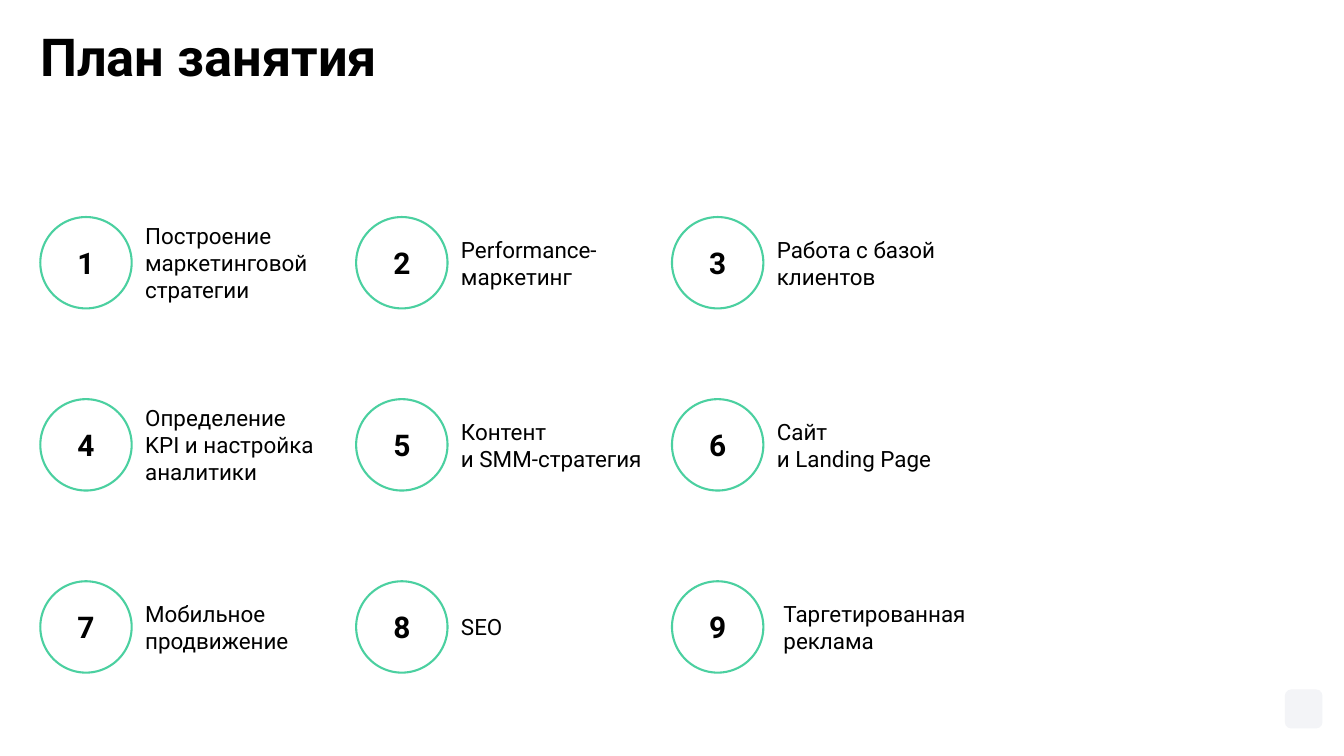
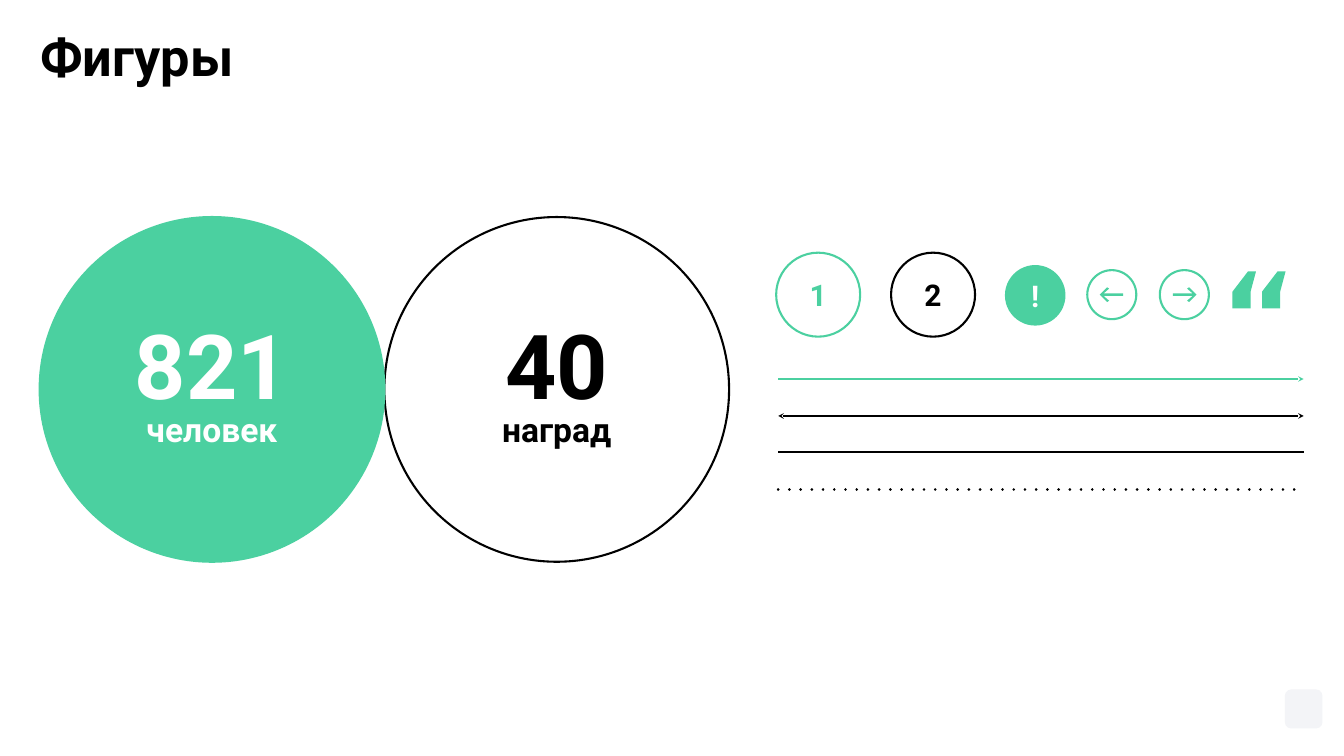
from dataclasses import dataclass

from lxml import etree
from pptx import Presentation
from pptx.dml.color import RGBColor
from pptx.enum.shapes import MSO_CONNECTOR, MSO_SHAPE
from pptx.enum.text import MSO_ANCHOR, MSO_AUTO_SIZE, PP_ALIGN
from pptx.oxml.ns import qn
from pptx.util import Inches, Pt

ELLIPSE, ROUNDED = MSO_SHAPE.OVAL, MSO_SHAPE.ROUNDED_RECTANGLE
STRAIGHT = MSO_CONNECTOR.STRAIGHT
TOP, MIDDLE = MSO_ANCHOR.TOP, MSO_ANCHOR.MIDDLE
LEFT, CENTER = PP_ALIGN.LEFT, PP_ALIGN.CENTER
NO_AUTOFIT = MSO_AUTO_SIZE.NONE
TITLE_ONLY = 5


@dataclass(frozen=True)
class Theme:
    """Colours, font and type sizes shared by the slides."""
    green: RGBColor = RGBColor(0x4B, 0xD0, 0xA0)
    black: RGBColor = RGBColor(0, 0, 0)
    white: RGBColor = RGBColor(0xFF, 0xFF, 0xFF)
    pale: RGBColor = RGBColor(0xF3, 0xF4, 0xF7)
    font: str = "Roboto"
    title: int = 56
    figure: int = 96
    caption: int = 36
    number: int = 32
    label: int = 24
    outline: float = 2.25
    tight: float = 0.8


THEME = Theme()

PLAN = (
    "Построение маркетинговой стратегии",
    "Performance-\nмаркетинг",
    "Работа с базой\nклиентов",
    "Определение\nKPI и настройка аналитики",
    "Контент\nи SMM-стратегия",
    "Сайт\nи Landing Page",
    "Мобильное продвижение",
    "SEO",
    "Таргетированная\nреклама",
)
COLUMNS = 3
RIGHT_ARROW = ((0.18, 0), (0.07, 0.11), (0.04, 0.09), (0.12, 0.02), (-0.17, 0.02),
               (-0.17, -0.02), (0.12, -0.02), (0.04, -0.09), (0.07, -0.11))
QUOTE_MARK = ((0.23, 0), (0, 0.3), (0, 0.55), (0.27, 0.55), (0.27, 0.3), (0.35, 0))


def write(paragraph, text, size, color, bold=False, align=LEFT, spacing=None):
    """Fill a paragraph and format it as a whole."""
    paragraph.text = text
    paragraph.alignment = align
    paragraph.line_spacing = spacing
    font = paragraph.font
    font.name, font.size, font.bold = THEME.font, Pt(size), bold
    font.color.rgb = color


def set_frame(frame, anchor, inset=0):
    """Set the wrapping, anchor and insets of a text frame."""
    frame.word_wrap = True
    frame.auto_size = NO_AUTOFIT
    frame.vertical_anchor = anchor
    frame.margin_left = frame.margin_right = Inches(inset)
    frame.margin_top = frame.margin_bottom = Inches(inset)


def add_slide(deck, title):
    """Add a slide with the shared title and corner mark."""
    slide = deck.slides.add_slide(deck.slide_layouts[TITLE_ONLY])
    mark = slide.shapes.add_shape(ROUNDED, Inches(19.12), Inches(10.26), Inches(0.56), Inches(0.58))
    paint(mark, THEME.pale)
    box = slide.shapes.title
    box.left, box.top, box.width, box.height = (Inches(n) for n in (0.6, 0.54, 15.6, 1.62))
    set_frame(box.text_frame, TOP)
    write(box.text_frame.paragraphs[0], title, THEME.title, THEME.black, True,
          spacing=THEME.tight)
    return slide


def paint(shape, fill=None, line=None):
    """Give a shape a flat fill and outline, or none."""
    shape.shadow.inherit = False
    if fill is None:
        shape.fill.background()
    else:
        shape.fill.solid()
        shape.fill.fore_color.rgb = fill
    if line is None:
        shape.line.fill.background()
    else:
        shape.line.color.rgb = line
        shape.line.width = Pt(THEME.outline)


def add_circle(slide, left, top, size, line, fill=None, color=None, rows=(), spacing=None):
    """Add a circle with centred rows of (text, size)."""
    circle = slide.shapes.add_shape(ELLIPSE, Inches(left), Inches(top), Inches(size), Inches(size))
    paint(circle, fill, line)
    frame = circle.text_frame
    set_frame(frame, MIDDLE, 0.1)
    for index, (text, points) in enumerate(rows):
        paragraph = frame.add_paragraph() if index else frame.paragraphs[0]
        write(paragraph, text, points, color, True, CENTER, spacing)


def add_label(slide, left, top, text, inset=0):
    """Add the wording beside a numbered circle."""
    box = slide.shapes.add_textbox(Inches(left), Inches(top), Inches(3.15), Inches(1.36))
    set_frame(box.text_frame, MIDDLE, inset)
    write(box.text_frame.paragraphs[0], text, THEME.label, THEME.black)


def add_outline(slide, contours):
    """Add a green freeform made of closed contours in inches."""
    scaled = [[(Inches(x), Inches(y)) for x, y in contour] for contour in contours]
    builder = slide.shapes.build_freeform(*scaled[0][0])
    builder.add_line_segments(scaled[0][1:])
    for contour in scaled[1:]:
        builder.move_to(*contour[0])
        builder.add_line_segments(contour[1:])
    paint(builder.convert_to_shape(), THEME.green)


def add_arrow_button(slide, left, direction):
    """Add a ringed arrow pointing right (1) or left (-1)."""
    size, top = 0.73, 4.02
    add_circle(slide, left, top, size, THEME.green)
    middle = size / 2
    add_outline(slide, [[(left + middle + direction * x, top + middle + y)
                         for x, y in RIGHT_ARROW]])


def add_rule(slide, top, color, width=2, ends=(), dotted=False):
    """Add a horizontal line with optional arrowheads or dots."""
    rule = slide.shapes.add_connector(STRAIGHT, Inches(11.58), Inches(top),
                                      Inches(19.4), Inches(top))
    rule.line.color.rgb = color
    rule.line.width = Pt(width)
    properties = rule._element.spPr
    stroke = properties.find(qn("a:ln"))
    if dotted:
        stroke.set("cap", "rnd")
        etree.SubElement(stroke, qn("a:prstDash"), val="dot")
    for end in ends:
        etree.SubElement(stroke, qn(f"a:{end}"), type="stealth")
    etree.SubElement(properties, qn("a:effectLst"))


def build_plan(deck):
    """Build the lesson plan as a grid of numbered topics."""
    slide = add_slide(deck, "План занятия")
    for index, topic in enumerate(PLAN):
        row, column = divmod(index, COLUMNS)
        left, top = 0.6 + 4.7 * column, 3.23 + 2.71 * row
        add_circle(slide, left, top, 1.36, THEME.green, color=THEME.black,
                   rows=[(str(index + 1), THEME.number)])
        inset = 0.1 if index == len(PLAN) - 1 else 0
        add_label(slide, left + 1.56, top, topic, inset)


def build_figures(deck):
    """Build the sampler of circles, buttons, lines and a quote mark."""
    slide = add_slide(deck, "Фигуры")
    green, black, white = THEME.green, THEME.black, THEME.white
    for left, top, size, line, fill, color, text in (
        (11.55, 3.76, 1.25, green, None, green, "1"),
        (13.26, 3.76, 1.25, black, None, black, "2"),
        (14.97, 3.96, 0.87, green, green, white, "!"),
    ):
        add_circle(slide, left, top, size, line, fill, color, [(text, THEME.number)])
    add_rule(slide, 5.64, green, ends=["tailEnd"])
    add_rule(slide, 6.19, black, ends=["headEnd", "tailEnd"])
    add_rule(slide, 6.72, black)
    add_rule(slide, 7.29, black, 3, dotted=True)
    add_arrow_button(slide, 16.18, -1)
    add_arrow_button(slide, 17.26, 1)
    for left, line, fill, color, figure, caption in (
        (5.72, black, None, black, "40", "наград"),
        (0.59, green, green, white, "821", "человек"),
    ):
        add_circle(slide, left, 3.23, 5.13, line, fill, color,
                   [(figure, THEME.figure), (caption, THEME.caption)], THEME.tight)
    add_outline(slide, [[(left + x, 4.04 + y) for x, y in QUOTE_MARK]
                        for left in (18.34, 18.78)])


def main():
    """Build and save the deck."""
    deck = Presentation()
    deck.slide_width, deck.slide_height = Inches(20), Inches(11.25)
    build_plan(deck)
    build_figures(deck)
    deck.save("out.pptx")


if __name__ == "__main__":
    main()
